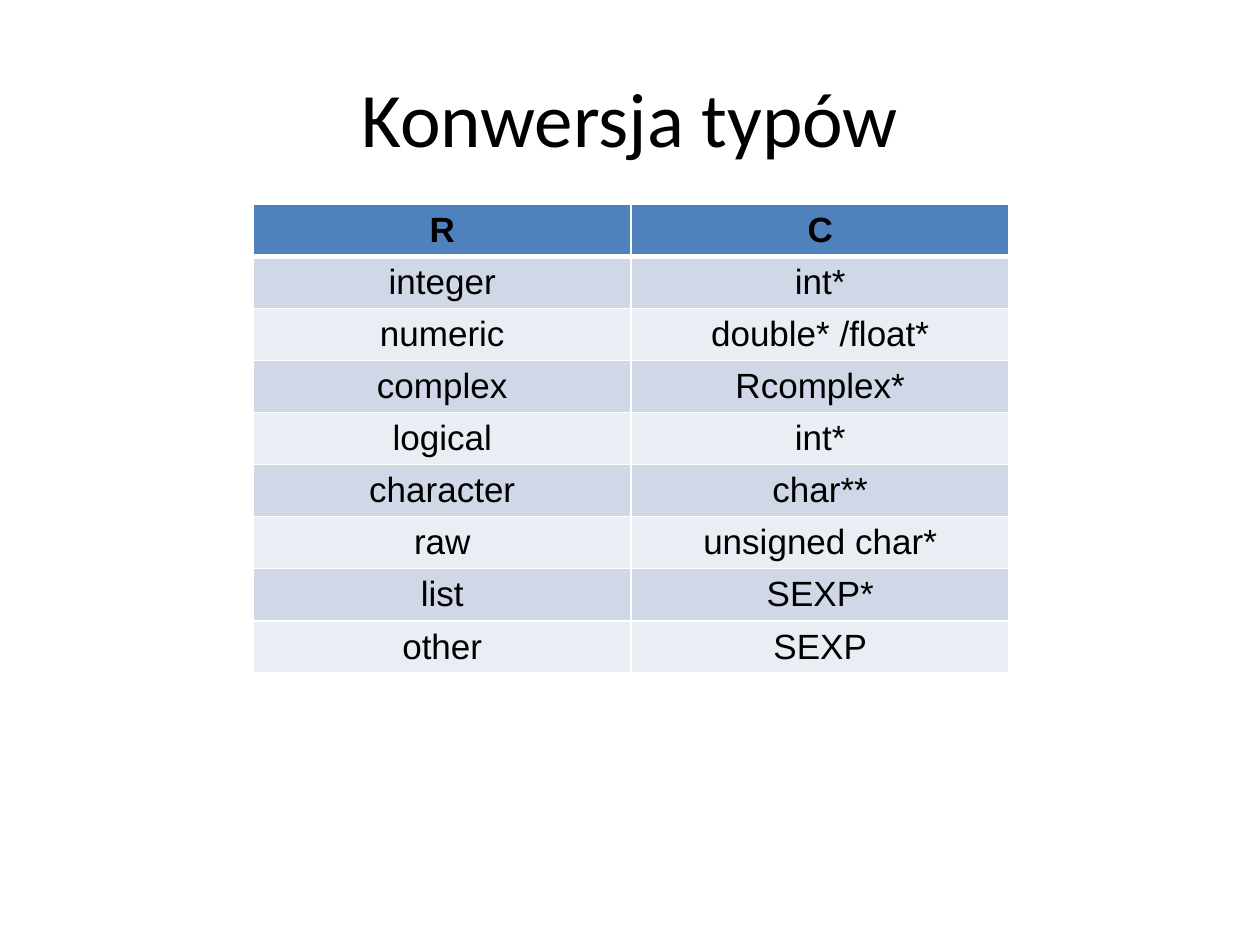
from pptx import Presentation
from pptx.dml.color import RGBColor
from pptx.enum.text import MSO_ANCHOR as Anchor, PP_ALIGN as Align
from pptx.oxml import parse_xml
from pptx.oxml.ns import nsdecls
from pptx.util import Inches, Pt


def write(frame, text, font, size, bold=False):
    """Put one centred black run into a text frame."""
    para = frame.paragraphs[0]
    para.alignment = Align.CENTER
    run = para.add_run()
    run.text = text
    run.font.name = font
    run.font.size = Pt(size)
    run.font.bold = bold
    run.font.color.rgb = RGBColor.from_string("000000")


def edge(cell, side, width):
    """Add a white border of the given width to one side of a cell."""
    line = parse_xml(
        f'<a:ln{side} {nsdecls("a")} w="{Pt(width)}"><a:solidFill>'
        f'<a:srgbClr val="FFFFFF"/></a:solidFill></a:ln{side}>')
    cell._tc.get_or_add_tcPr().append(line)


deck = Presentation()
deck.slide_width = Inches(10)
deck.slide_height = Inches(7.5)
slide = deck.slides.add_slide(deck.slide_layouts[6])

title = slide.shapes.add_textbox(Inches(0.5), Inches(0.3), Inches(9), Inches(1.25))
title.text_frame.word_wrap = True
title.text_frame.vertical_anchor = Anchor.MIDDLE
write(title.text_frame, "Konwersja typów", "Calibri", 44)

pairs = [
    ("R", "C"),
    ("integer", "int*"),
    ("numeric", "double* /float*"),
    ("complex", "Rcomplex*"),
    ("logical", "int*"),
    ("character", "char**"),
    ("raw", "unsigned char*"),
    ("list", "SEXP*"),
    ("other", "SEXP"),
]
row_high = 0.41
table = slide.shapes.add_table(
    len(pairs), 2, Inches(2.01), Inches(1.62),
    Inches(6), Inches(row_high * len(pairs))).table

for row, pair in enumerate(pairs):
    table.rows[row].height = Inches(row_high)
    head = row == 0
    fill = "4F81BD" if head else ("E9EDF4", "D0D8E8")[row % 2]
    for col, text in enumerate(pair):
        cell = table.cell(row, col)
        cell.vertical_anchor = Anchor.MIDDLE
        cell.margin_top = cell.margin_bottom = Inches(0.04)
        write(cell.text_frame, text, "Arial", 20, head)
        for side in "LRTB":
            thick = (row, side) in [(0, "B"), (1, "T")]
            edge(cell, side, 3 if thick else 1)
        cell.fill.solid()
        cell.fill.fore_color.rgb = RGBColor.from_string(fill)

deck.save("out.pptx")
